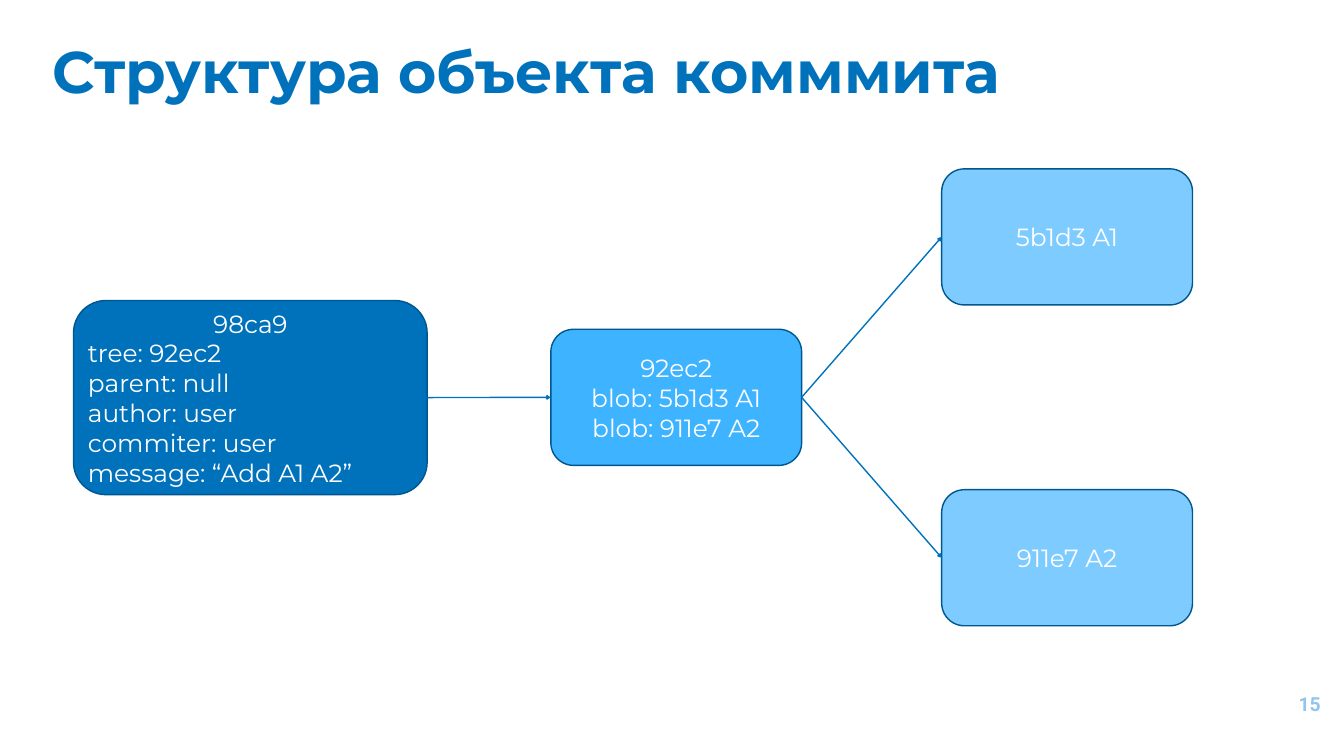
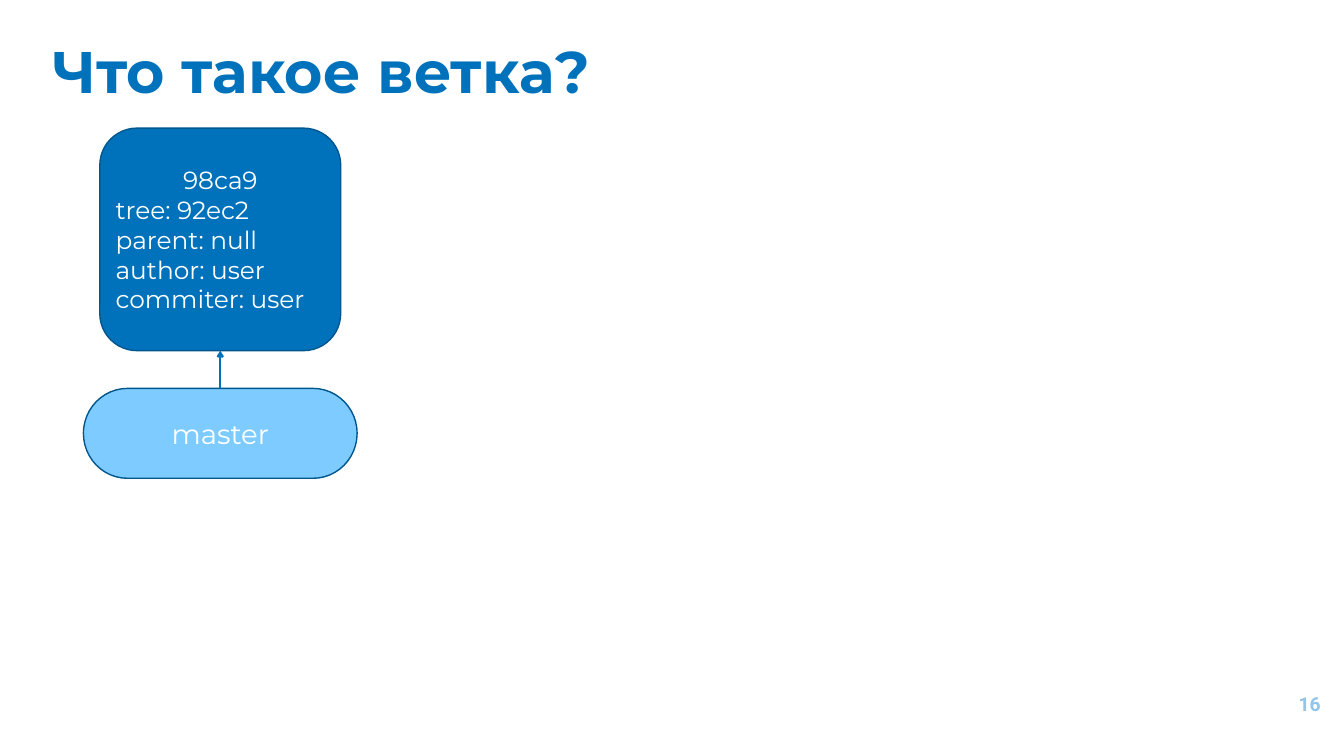
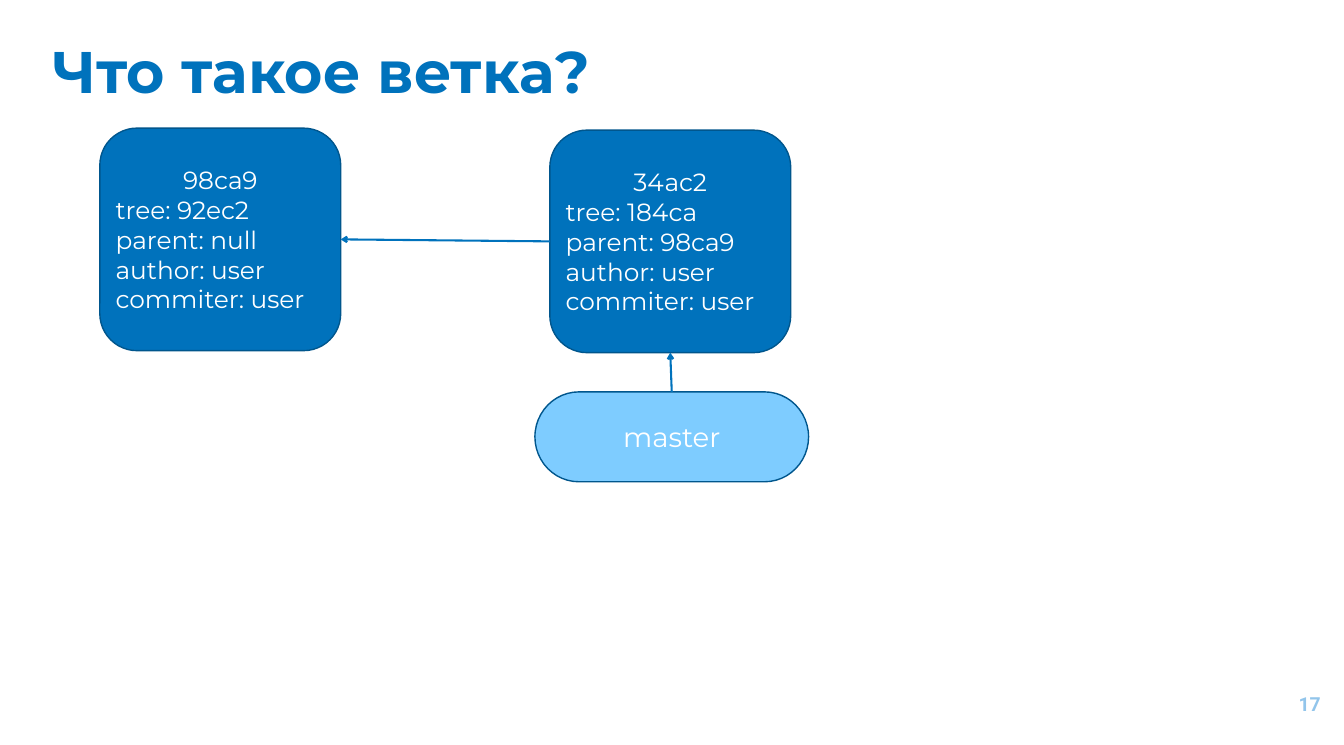
import pptx
import pptx.util
import pptx.dml.color
import pptx.enum.shapes
import pptx.enum.text
import pptx.oxml
import pptx.oxml.ns

Inches = pptx.util.Inches
Pt = pptx.util.Pt
Kind = pptx.enum.shapes.MSO_SHAPE
Align = pptx.enum.text.PP_ALIGN
Anchor = pptx.enum.text.MSO_ANCHOR

# Colours
BLUE, MID, PALE = "0072BC", "3EB3FF", "7ECCFF"
EDGE, WHITE, PAGE = "00568D", "FFFFFF", "92C5EB"

# Connection sites of a box
TOP, LEFT, BOTTOM, RIGHT = range(4)

# Box sizes
BLOB = (5.05, 2.74)
COMMIT = (4.85, 4.48)
BRANCH = (5.51, 1.81)


def color(code):
    return pptx.dml.color.RGBColor.from_string(code)


def apply(target, values):
    for name, value in values.items():
        setattr(target, name, value)


class Deck:
    """Shared style and the slide being drawn."""

    title = {"name": "Montserrat", "size": Pt(85), "bold": True}
    number = {"name": "Roboto", "size": Pt(28), "bold": True}
    body = {"name": "Montserrat", "size": Pt(36)}
    label = {"name": "Montserrat", "size": Pt(40)}
    inset = {"margin_left": Inches(0.1), "margin_right": Inches(0.1),
             "margin_top": Inches(0.1), "margin_bottom": Inches(0.1)}

    def __init__(self, first):
        self.file = pptx.Presentation()
        apply(self.file, {"slide_width": Inches(27.06), "slide_height": Inches(15)})
        self.page = first
        self.slide = None

    def start(self, title, width):
        """Add a slide with its title and page number."""
        self.slide = self.file.slides.add_slide(self.file.slide_layouts[6])
        self.text((0.96, 0.61, width, 1.92), title, self.title, BLUE, Align.LEFT, Anchor.TOP)
        self.text((25.07, 13.6, 1.62, 1.15), str(self.page), self.number, PAGE,
                  Align.RIGHT, Anchor.MIDDLE)
        self.page += 1

    def letter(self, frame, lines, font, tint, aligns):
        """Put one paragraph a line into a text frame."""
        for i, (line, align) in enumerate(zip(lines, aligns)):
            para = frame.add_paragraph() if i else frame.paragraphs[0]
            para.alignment = align
            run = para.add_run()
            run.text = line
            apply(run.font, font)
            run.font.color.rgb = color(tint)

    def text(self, place, words, font, tint, align, anchor):
        frame = self.slide.shapes.add_textbox(*map(Inches, place)).text_frame
        apply(frame, {**self.inset, "word_wrap": True, "vertical_anchor": anchor})
        self.letter(frame, [words], font, tint, [align])

    def box(self, spot, size, fill, lines, rest=Align.CENTER,
            kind=Kind.FLOWCHART_ALTERNATE_PROCESS, font=body):
        """Draw a box: first line centred, the others aligned by rest."""
        shape = self.slide.shapes.add_shape(kind, *map(Inches, spot + size))
        shape.shadow.inherit = False
        shape.fill.solid()
        shape.fill.fore_color.rgb = color(fill)
        shape.line.color.rgb = color(EDGE)
        shape.line.width = Pt(2)
        apply(shape.text_frame, {"word_wrap": True, "vertical_anchor": Anchor.MIDDLE})
        aligns = [Align.CENTER] + [rest] * (len(lines) - 1)
        self.letter(shape.text_frame, lines, font, WHITE, aligns)
        return shape

    def commit(self, spot, name, tree, parent, size=COMMIT, extra=()):
        lines = [name, f"tree: {tree}", f"parent: {parent}",
                 "author: user", "commiter: user", *extra]
        return self.box(spot, size, BLUE, lines, Align.LEFT)

    def branch(self, spot, name):
        return self.box(spot, BRANCH, PALE, [name],
                        kind=Kind.FLOWCHART_TERMINATOR, font=self.label)

    def arrow(self, start, out, end, into, width=3):
        """Join two boxes at the given sites."""
        line = self.slide.shapes.add_connector(
            pptx.enum.shapes.MSO_CONNECTOR.STRAIGHT, 0, 0, 0, 0)
        line.begin_connect(start, out)
        line.end_connect(end, into)
        line.line.color.rgb = color(BLUE)
        line.line.width = Pt(width)
        space = pptx.oxml.ns.nsdecls("a")
        props = line.element.spPr
        props.get_or_add_ln().append(
            pptx.oxml.parse_xml(f'<a:tailEnd {space} type="arrow"/>'))
        props.append(pptx.oxml.parse_xml(f"<a:effectLst {space}/>"))


def main():
    deck = Deck(first=15)

    # Commit, its tree and the two blobs
    deck.start("Структура объекта комммита", 23.01)
    root = deck.commit((1.48, 6.05), "98ca9", "92ec2", "null",
                       size=(7.12, 3.91), extra=["message: “Add A1 A2”"])
    blobs = ["5b1d3 A1", "911e7 A2"]
    tree = deck.box((11.09, 6.63), BLOB, MID,
                    ["92ec2"] + [f"blob: {blob}" for blob in blobs])
    leaves = [deck.box((18.96, 3.4 + 6.46 * i), BLOB, PALE, [blob])
              for i, blob in enumerate(blobs)]
    deck.arrow(root, RIGHT, tree, LEFT, 2)
    for leaf in leaves:
        deck.arrow(tree, RIGHT, leaf, LEFT, 2)

    # A branch points at one commit, then at the next
    for count in (1, 2):
        deck.start("Что такое ветка?", 17.39)
        last = deck.commit((2.01, 2.58), "98ca9", "92ec2", "null")
        spot = (1.68, 7.82)
        if count == 2:
            first = last
            last = deck.commit((11.07, 2.62), "34ac2", "184ca", "98ca9")
            deck.arrow(last, LEFT, first, RIGHT)
            spot = (10.77, 7.89)
        master = deck.branch(spot, "master")
        deck.arrow(master, TOP, last, BOTTOM)

    deck.file.save("out.pptx")


if __name__ == "__main__":
    main()
